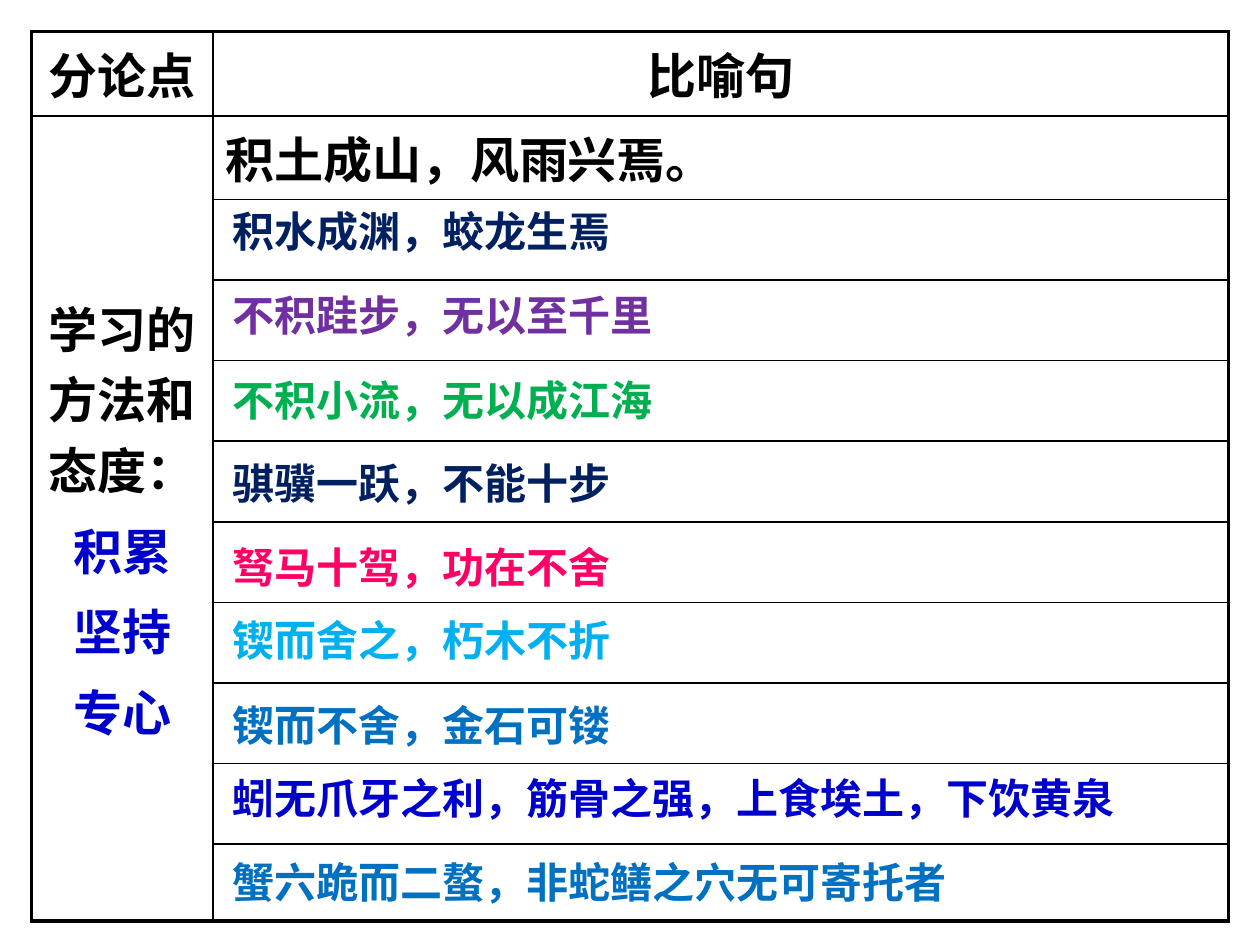
"""Build a slide with a table of metaphors and the points they support."""
from lxml import etree
from pptx import Presentation, util as u
from pptx.dml.color import RGBColor
from pptx.enum import text as t
from pptx.oxml import ns

HEADS = ["分论点", "比喻句"]
POINTS = [("学习的方法和态度：", "000000"), ("积累", "0000CC"),
          ("坚持", "0000CC"), ("专心", "0000CC")]
FIRST = "积土成山，风雨兴焉。"
LINES = [
    ("积水成渊，蛟龙生焉", "002060", 1.58, 4),
    ("不积跬步，无以至千里", "7030A0", 2.25, 4.08),
    ("不积小流，无以成江海", "00B050", 2.92, 4),
    ("骐骥一跃，不能十步", "002060", 3.58, 3.83),
    ("驽马十驾，功在不舍", "FF0066", 4.25, 3.67),
    ("锲而舍之，朽木不折", "00B0F0", 4.83, 3.75),
    ("锲而不舍，金石可镂", "0070C0", 5.5, 3.33),
    ("蚓无爪牙之利，筋骨之强，上食埃土，下饮黄泉", "0000CC", 6.08, 7.42),
    ("蟹六跪而二螯，非蛇鳝之穴无可寄托者", "0070C0", 6.75, 7.67),
]
COLS = [1.44, 8.06]
ROWS = [0.67] + [0.64] * 9 + [0.61]
CELL = {"name": "Arial", "size": u.Pt(28), "bold": True}
LINE = {"name": "Times New Roman", "size": u.Pt(24), "bold": True}
THIN, THICK = 1, 2.25


def write(frame, items, form, align):
    for i, (words, color) in enumerate(items):
        para = frame.paragraphs[0] if i == 0 else frame.add_paragraph()
        para.alignment = align
        if i:
            para.space_before = u.Pt(5.6)
        run = para.add_run()
        run.text = words
        for key, value in form.items():
            setattr(run.font, key, value)
        run.font.color.rgb = RGBColor.from_string(color)


def border(cell, widths):
    props = cell._tc.get_or_add_tcPr()
    for i, (side, width) in enumerate(widths.items()):
        line = etree.Element(ns.qn("a:ln" + side), w=str(u.Pt(width)))
        fill = etree.SubElement(line, ns.qn("a:solidFill"))
        etree.SubElement(fill, ns.qn("a:srgbClr"), val="000000")
        props.insert(i, line)


def add_grid(slide):
    grid = slide.shapes.add_table(len(ROWS), len(COLS), *map(
        u.Inches, (0.25, 0.25, sum(COLS), sum(ROWS)))).table
    grid.first_row = grid.horz_banding = False
    for col, width in zip(grid.columns, COLS):
        col.width = u.Inches(width)
    for row, height in zip(grid.rows, ROWS):
        row.height = u.Inches(height)
    last, end = len(ROWS) - 1, len(COLS) - 1
    for r in range(len(ROWS)):
        for c in range(len(COLS)):
            cell = grid.cell(r, c)
            cell.fill.background()
            edges = {"L": c == 0, "R": c == end, "T": r == 0, "B": r == last}
            border(cell, {side: THICK if outer else THIN
                          for side, outer in edges.items()})
    grid.cell(1, 0).merge(grid.cell(last, 0))
    border(grid.cell(1, 0), {})
    grid.cell(1, 0)._tc.tcPr.find(ns.qn("a:lnB")).set("w", str(u.Pt(THICK)))
    mid, left = t.PP_ALIGN.CENTER, t.PP_ALIGN.LEFT
    for c, head in enumerate(HEADS):
        write(grid.cell(0, c).text_frame, [(head, "000000")], CELL, mid)
    write(grid.cell(1, 0).text_frame, POINTS, CELL, mid)
    write(grid.cell(1, 1).text_frame, [(FIRST, "000000")], CELL, left)
    for r in (0, 1):
        grid.cell(r, 0).vertical_anchor = t.MSO_ANCHOR.MIDDLE


def add_line(slide, words, color, top, width):
    frame = slide.shapes.add_textbox(
        *map(u.Inches, (1.75, top, width, 0.5))).text_frame
    frame.word_wrap = True
    frame.auto_size = t.MSO_AUTO_SIZE.SHAPE_TO_FIT_TEXT
    write(frame, [(words, color)], LINE, t.PP_ALIGN.LEFT)


def main():
    deck = Presentation()
    deck.slide_width, deck.slide_height = u.Inches(10), u.Inches(7.5)
    slide = deck.slides.add_slide(deck.slide_layouts[6])
    add_grid(slide)
    for line in LINES:
        add_line(slide, *line)
    deck.save("out.pptx")


if __name__ == "__main__":
    main()
